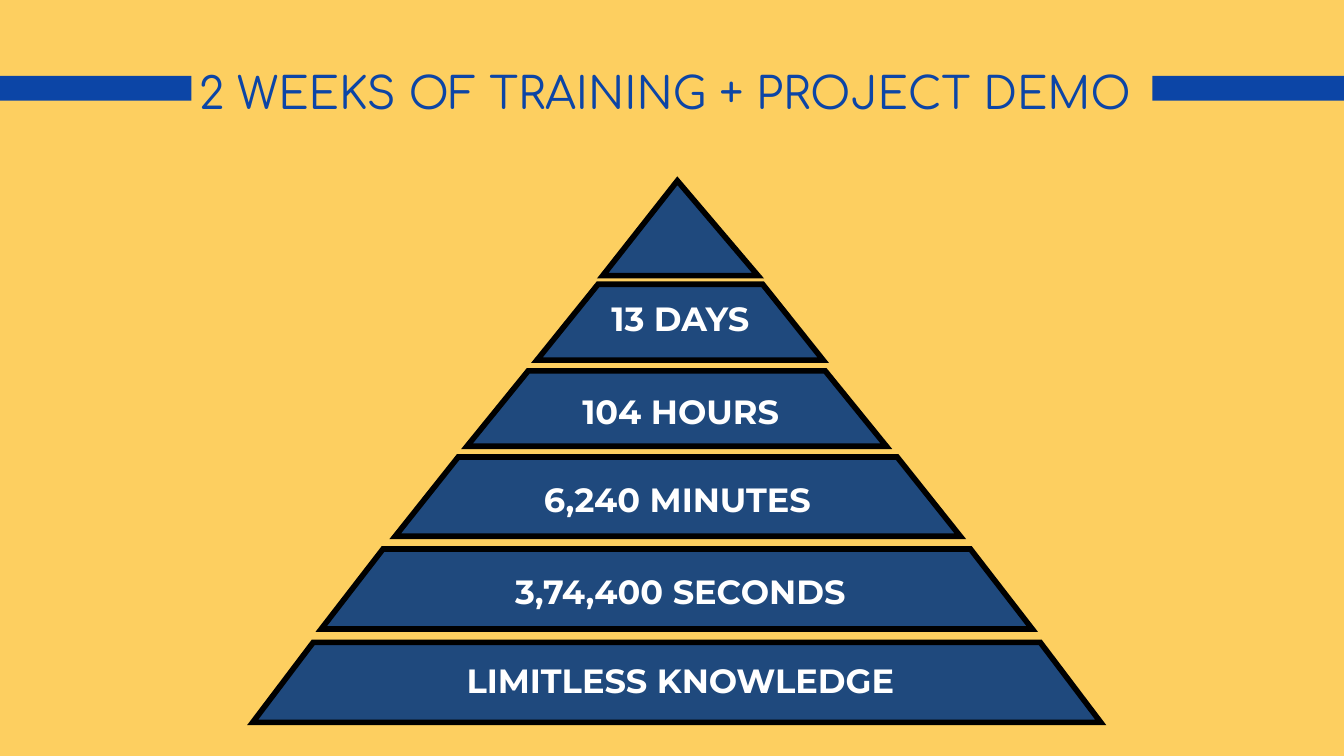
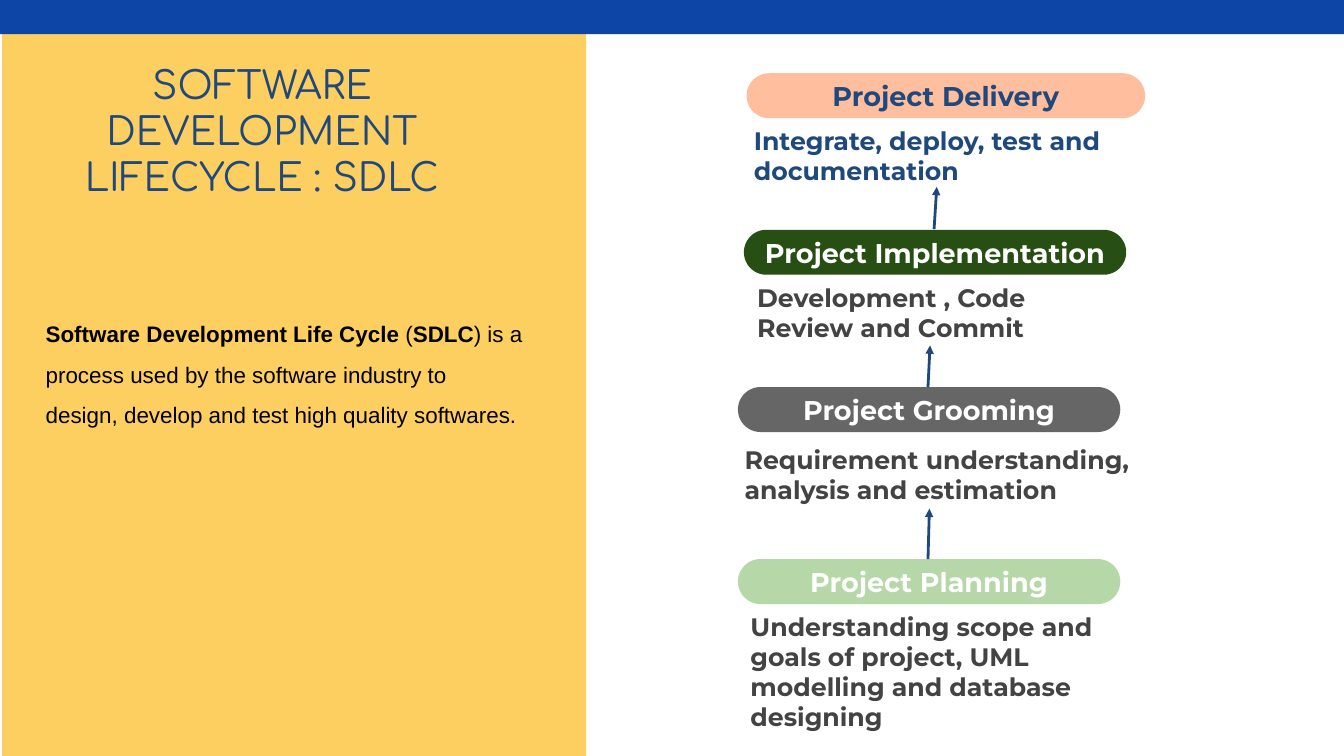
from dataclasses import dataclass

from lxml import etree
from pptx import Presentation
from pptx.dml.color import RGBColor
from pptx.enum.shapes import MSO_CONNECTOR, MSO_SHAPE
from pptx.enum.text import MSO_ANCHOR, PP_ALIGN
from pptx.oxml.ns import qn
from pptx.util import Pt

RECTANGLE = MSO_SHAPE.RECTANGLE
ROUNDED = MSO_SHAPE.ROUNDED_RECTANGLE
STRAIGHT = MSO_CONNECTOR.STRAIGHT
TOP = MSO_ANCHOR.TOP
MIDDLE = MSO_ANCHOR.MIDDLE
LEFT = PP_ALIGN.LEFT
CENTER = PP_ALIGN.CENTER

WIDTH, HEIGHT = 1440, 810


@dataclass(frozen=True)
class TextStyle:
    font: str
    size: float
    color: str
    bold: bool = False
    align: int = LEFT
    line_spacing: float = 1.0


@dataclass(frozen=True)
class Theme:
    yellow: str = "FDCF60"
    royal: str = "0C45A6"
    navy: str = "1F497D"
    white: str = "FFFFFF"
    black: str = "000000"
    charcoal: str = "434343"
    gray: str = "666666"
    peach: str = "FFBE9D"
    forest: str = "274E13"
    sage: str = "B6D7A8"
    title_font: str = "Comfortaa"
    label_font: str = "Montserrat"
    body_font: str = "Arial"
    banner_size: int = 47
    title_size: int = 41
    tier_size: int = 36
    stage_size: int = 29
    detail_size: int = 27
    body_size: int = 24

    def banner(self):
        return TextStyle(self.title_font, self.banner_size, self.royal, align=CENTER, line_spacing=0.9)

    def title(self):
        return TextStyle(self.title_font, self.title_size, self.navy, align=CENTER)

    def tier(self):
        return TextStyle(self.label_font, self.tier_size, self.white, True, CENTER)

    def stage(self, color):
        return TextStyle(self.label_font, self.stage_size, color, True, CENTER)

    def detail(self, color):
        return TextStyle(self.label_font, self.detail_size, color, True)

    def body(self):
        return TextStyle(self.body_font, self.body_size, self.black, line_spacing=1.5)


class Deck:
    def __init__(self, theme):
        self.theme = theme
        self.presentation = Presentation()
        self.presentation.slide_width = Pt(WIDTH)
        self.presentation.slide_height = Pt(HEIGHT)
        self.slide = None

    def new_slide(self, background):
        self.slide = self.presentation.slides.add_slide(self.presentation.slide_layouts[6])
        fill = self.slide.background.fill
        fill.solid()
        fill.fore_color.rgb = RGBColor.from_string(background)

    def paint(self, shape, color):
        shape.shadow.inherit = False
        shape.fill.solid()
        shape.fill.fore_color.rgb = RGBColor.from_string(color)
        shape.line.fill.background()

    def stroke(self, shape, color, weight, tag, **attributes):
        shape.line.color.rgb = RGBColor.from_string(color)
        shape.line.width = Pt(weight)
        etree.SubElement(shape.element.spPr.find(qn("a:ln")), qn(tag), **attributes)

    def set_text(self, shape, paragraphs, style, anchor, insets):
        frame = shape.text_frame
        frame.word_wrap = True
        frame.vertical_anchor = anchor
        frame.margin_left, frame.margin_top, frame.margin_right, frame.margin_bottom = map(Pt, insets)
        for index, pieces in enumerate(paragraphs):
            paragraph = frame.add_paragraph() if index else frame.paragraphs[0]
            paragraph.alignment = style.align
            paragraph.line_spacing = style.line_spacing
            for words, bold in pieces:
                run = paragraph.add_run()
                run.text = words
                run.font.name = style.font
                run.font.size = Pt(style.size)
                run.font.bold = bold
                run.font.color.rgb = RGBColor.from_string(style.color)

    def band(self, left, top, width, height, color):
        shape = self.slide.shapes.add_shape(RECTANGLE, Pt(left), Pt(top), Pt(width), Pt(height))
        self.paint(shape, color)

    def rich_text(self, box, paragraphs, style, anchor=TOP, insets=(7.2,) * 4):
        shape = self.slide.shapes.add_textbox(*map(Pt, box))
        self.set_text(shape, paragraphs, style, anchor, insets)

    def text(self, box, words, style, anchor=TOP, insets=(7.2,) * 4):
        self.rich_text(box, [[(words, style.bold)]], style, anchor, insets)

    def pill(self, box, words, fill, style):
        shape = self.slide.shapes.add_shape(ROUNDED, *map(Pt, box))
        shape.adjustments[0] = 0.5
        self.paint(shape, fill)
        self.set_text(shape, [[(words, style.bold)]], style, MIDDLE, (7.2,) * 4)

    def polygon(self, points, fill, outline, weight):
        corners = [(Pt(x), Pt(y)) for x, y in points]
        builder = self.slide.shapes.build_freeform(*corners[0])
        builder.add_line_segments(corners[1:], close=True)
        shape = builder.convert_to_shape()
        self.paint(shape, fill)
        self.stroke(shape, outline, weight, "a:miter", lim="800000")

    def arrow(self, start, end, color, weight):
        connector = self.slide.shapes.add_connector(STRAIGHT, *map(Pt, start + end))
        self.stroke(connector, color, weight, "a:tailEnd", type="triangle")
        etree.SubElement(connector.element.spPr, qn("a:effectLst"))


def build_pyramid(deck):
    theme = deck.theme
    deck.new_slide(theme.yellow)
    bar_width = 205.2
    for left in (0, WIDTH - bar_width):
        deck.band(left, 81.4, bar_width, 26.6, theme.royal)
    deck.text((58.3, 69.1, 1324, 110.2), "2 WEEKS OF TRAINING + PROJECT DEMO",
              theme.banner(), insets=(0, 8, 15, 0))

    tiers = [
        (193.7, 295.4, (725.8, 725.8), (645.8, 812.2)),
        (304.6, 385.9, (640.8, 817.2), (575.3, 882)),
        (397.4, 478.1, (565.9, 884.2), (500.4, 949.7)),
        (489.6, 574.6, (491, 961.2), (423.4, 1028.9)),
        (588.2, 673.9, (410.4, 1039.7), (344.2, 1105.9)),
        (688.3, 774, (335.5, 1114.6), (270.7, 1179.4)),
    ]
    for top, bottom, (top_left, top_right), (bottom_left, bottom_right) in tiers:
        corners = [(bottom_left, bottom), (top_left, top)]
        if top_right > top_left:
            corners.append((top_right, top))
        corners.append((bottom_right, bottom))
        deck.polygon(corners, theme.navy, theme.black, 6)

    labels = [
        ("13 DAYS", (609.1, 316.1, 239.8, 49)),
        ("104 HOURS", (581, 415.4, 296.6, 49)),
        ("6,240 MINUTES", (506.2, 510.5, 439.2, 49)),
        ("3,74,400 SECONDS", (222.5, 611.3, 1013, 44)),
        ("LIMITLESS KNOWLEDGE", (222.5, 707, 1013, 44)),
    ]
    for words, box in labels:
        deck.text(box, words, theme.tier(), MIDDLE, (0,) * 4)


def build_lifecycle(deck):
    theme = deck.theme
    deck.new_slide(theme.white)
    deck.band(2.2, 0, 625.7, HEIGHT, theme.yellow)
    deck.band(0, 0, WIDTH, 36.7, theme.royal)
    deck.text((2.2, 22.3, 557.3, 234), "SOFTWARE DEVELOPMENT LIFECYCLE : SDLC", theme.title(), MIDDLE)
    definition = [
        [("Software Development Life Cycle", True), (" (", False), ("SDLC", True),
         (") is a process used by the software industry to", False)],
        [("design, develop and test high quality softwares.", False)],
    ]
    deck.rich_text((41.8, 321.8, 545.8, 334.8), definition, theme.body())

    stages = [
        ("Project Delivery", (799.9, 78.5, 427), theme.peach, theme.navy,
         "Integrate, deploy, test and documentation", (800.6, 126.7, 427, 94.3), theme.navy),
        ("Project Implementation", (797, 246.2, 409.7), theme.forest, theme.white,
         "Development , Code Review and Commit", (804.2, 295.2, 381.6, 94.3), theme.charcoal),
        ("Project Grooming", (790.6, 414.7, 409.7), theme.gray, theme.white,
         "Requirement understanding, analysis and estimation", (790.6, 468.7, 447.1, 94.3), theme.charcoal),
        ("Project Planning", (790.6, 599, 409.7), theme.sage, theme.white,
         "Understanding scope and goals of project, UML modelling and database designing",
         (797, 647.3, 458.6, 142.6), theme.charcoal),
    ]
    for name, (left, top, width), fill, color, detail, detail_box, detail_color in stages:
        deck.text(detail_box, detail, theme.detail(detail_color))
        deck.pill((left, top, width, 48.2), name, fill, theme.stage(color))

    arrows = [
        ((994.3, 599), (995.8, 545)),
        ((994.3, 414.7), (996.5, 370.1)),
        ((1000.8, 245.5), (1003.7, 200.2)),
    ]
    for start, end in arrows:
        deck.arrow(start, end, theme.navy, 3)


def main():
    deck = Deck(Theme())
    build_pyramid(deck)
    build_lifecycle(deck)
    deck.presentation.save("out.pptx")


if __name__ == "__main__":
    main()
